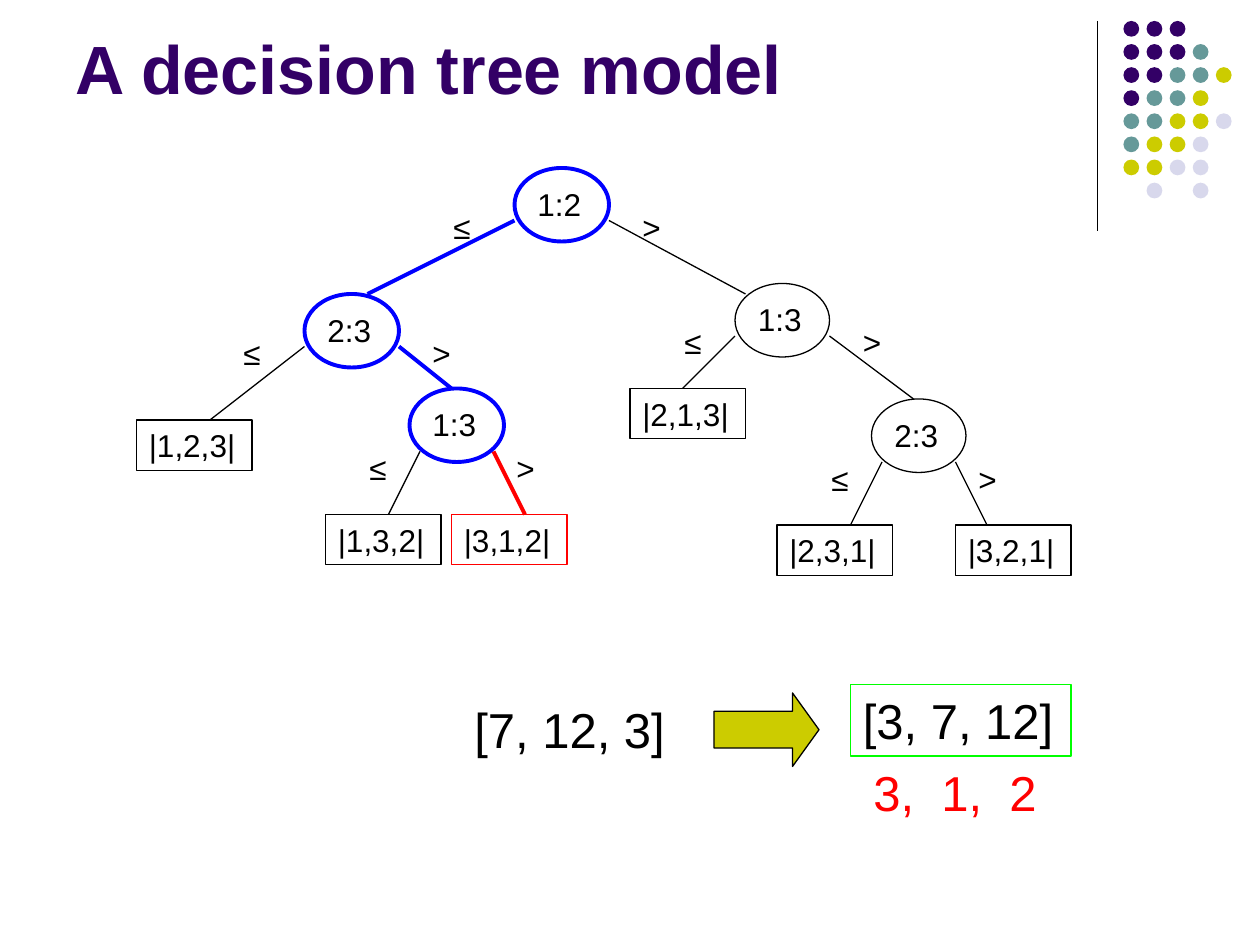
from pptx import Presentation
from pptx import util as u
from pptx.dml.color import RGBColor
from pptx.enum import shapes, text
from pptx.oxml import ns
from lxml import etree

BLACK, BLUE, RED, GREEN = "000000", "0000FF", "FF0000", "00FF00"
PURPLE, TEAL, OLIVE, LAVENDER = "330066", "669999", "CCCC00", "D8D8EC"


def color(code):
    return RGBColor.from_string(code)


def grid(*cells):
    """Turn columns or rows into lengths: the slide has 120 columns and 90 rows."""
    return [u.Inches(cell / 12) for cell in cells]


def write(frame, content, size=18, ink=BLACK, bold=False, anchor=text.MSO_ANCHOR.TOP):
    frame.text = content
    frame.word_wrap = True
    frame.auto_size = text.MSO_AUTO_SIZE.NONE
    frame.vertical_anchor = anchor
    paragraph = frame.paragraphs[0]
    paragraph.alignment = text.PP_ALIGN.LEFT
    font = paragraph.runs[0].font
    font.name, font.size, font.bold = "Arial", u.Pt(size), bold
    font.color.rgb = color(ink)


class TreeSlide:
    thin, thick = 0.75, 2.25

    def __init__(self, presentation):
        layout = presentation.slide_layouts.get_by_name("Title Only")
        self.slide = presentation.slides.add_slide(layout)
        self.items = self.slide.shapes

    def title(self, content, *box):
        title = self.items.title
        title.left, title.top, title.width, title.height = grid(*box)
        write(title.text_frame, content, size=39, ink=PURPLE, bold=True,
              anchor=text.MSO_ANCHOR.BOTTOM)

    def label(self, content, *box, **style):
        write(self.items.add_textbox(*grid(*box)).text_frame, content, **style)

    def shape(self, kind, *box, fill=None, line=None, width=thin):
        shape = self.items.add_shape(kind, *grid(*box))
        shape.shadow.inherit = False
        if fill:
            shape.fill.solid()
            shape.fill.fore_color.rgb = color(fill)
        else:
            shape.fill.background()
        if line:
            shape.line.color.rgb = color(line)
            shape.line.width = u.Pt(width)
        else:
            shape.line.fill.background()
        return shape

    def box(self, content, *box, line=BLACK, **style):
        shape = self.shape(shapes.MSO_SHAPE.RECTANGLE, *box, line=line)
        write(shape.text_frame, content, **style)

    def line(self, *ends, ink=BLACK):
        width = self.thin if ink == BLACK else self.thick
        line = self.items.add_connector(shapes.MSO_CONNECTOR.STRAIGHT, *grid(*ends))
        line.line.color.rgb = color(ink)
        line.line.width = u.Pt(width)
        etree.SubElement(line._element.spPr, ns.qn("a:effectLst"))

    def node(self, content, column, row, ink=BLACK):
        width = self.thin if ink == BLACK else self.thick
        self.label(content, column + 1, row + 1, 8, 4.8)
        self.shape(shapes.MSO_SHAPE.OVAL, column, row, 9, 7, line=ink, width=width)

    def branches(self, column, row, inset, gaps, ends, inks):
        """Draw the two edges below a node, each with its comparison sign."""
        starts = (column + inset, column + 9 - inset)
        for sign, start, gap, end, ink in zip("≤>", starts, gaps, ends, inks):
            self.line(start, row + 5 + inset, *end, ink=ink)
            self.label(sign, column + gap, row + 3.2 + 2 * inset, 5, 4.8)

    def dots(self, pattern, column, row, step=2.2, size=1.5):
        palette = {"P": PURPLE, "T": TEAL, "O": OLIVE, "L": LAVENDER}
        for down, marks in enumerate(pattern):
            for across, mark in enumerate(marks):
                if mark in palette:
                    self.shape(shapes.MSO_SHAPE.OVAL, column + across * step,
                               row + down * step, size, size, fill=palette[mark])


def main():
    presentation = Presentation()
    presentation.slide_width, presentation.slide_height = grid(120, 90)
    tree = TreeSlide(presentation)

    # Corner decoration and title
    tree.line(104.5, 2, 104.5, 22)
    tree.dots(["PPP", "PPPT", "PPTTO", "PTTO", "TTOOL", "TOOL", "OOLL", ".L.L"], 107, 2)
    tree.title("A decision tree model", 6, 1.5, 99, 9.4)

    # Comparison nodes: name, place, outline, edge inset, sign offsets, edge ends, edge colours
    nodes = [
        ("1:2", 49, 16, BLUE, 0, (-7, 11), [(35, 28), (71, 28)], (BLUE, BLACK)),
        ("2:3", 29, 28, BLUE, 0, (-7, 11), [(20, 40), (43, 37)], (BLACK, BLUE)),
        ("1:3", 70, 27, BLACK, 0, (-6, 11), [(65, 37), (87, 38)], (BLACK, BLACK)),
        ("1:3", 39, 37, BLUE, 1, (-5, 9), [(37, 49), (50, 49)], (BLACK, RED)),
        ("2:3", 83, 38, BLACK, 1, (-5, 9), [(81, 50), (94, 50)], (BLACK, BLACK)),
    ]
    for name, column, row, outline, inset, gaps, ends, inks in nodes:
        tree.node(name, column, row, outline)
        tree.branches(column, row, inset, gaps, ends, inks)

    # Leaves: one ordering each
    leaves = [
        ("|1,2,3|", 13, 40, BLACK),
        ("|1,3,2|", 31, 49, BLACK),
        ("|3,1,2|", 43, 49, RED),
        ("|2,3,1|", 74, 50, BLACK),
        ("|3,2,1|", 91, 50, BLACK),
        ("|2,1,3|", 60, 37, BLACK),
    ]
    for order, column, row, outline in leaves:
        tree.box(order, column, row, 11, 4.8, line=outline)

    # Worked example
    tree.label("[7, 12, 3]", 44, 66, 21, 6.8, size=28)
    arrow = tree.shape(shapes.MSO_SHAPE.RIGHT_ARROW, 68, 66, 10, 7, fill=OLIVE, line=BLACK)
    arrow.adjustments[1] = 0.36
    tree.box("[3, 7, 12]", 81, 65.2, 21, 6.8, line=GREEN, size=28)
    tree.label("3,  1,  2", 82, 72, 21, 6.8, size=28, ink=RED)

    presentation.save("out.pptx")


if __name__ == "__main__":
    main()
